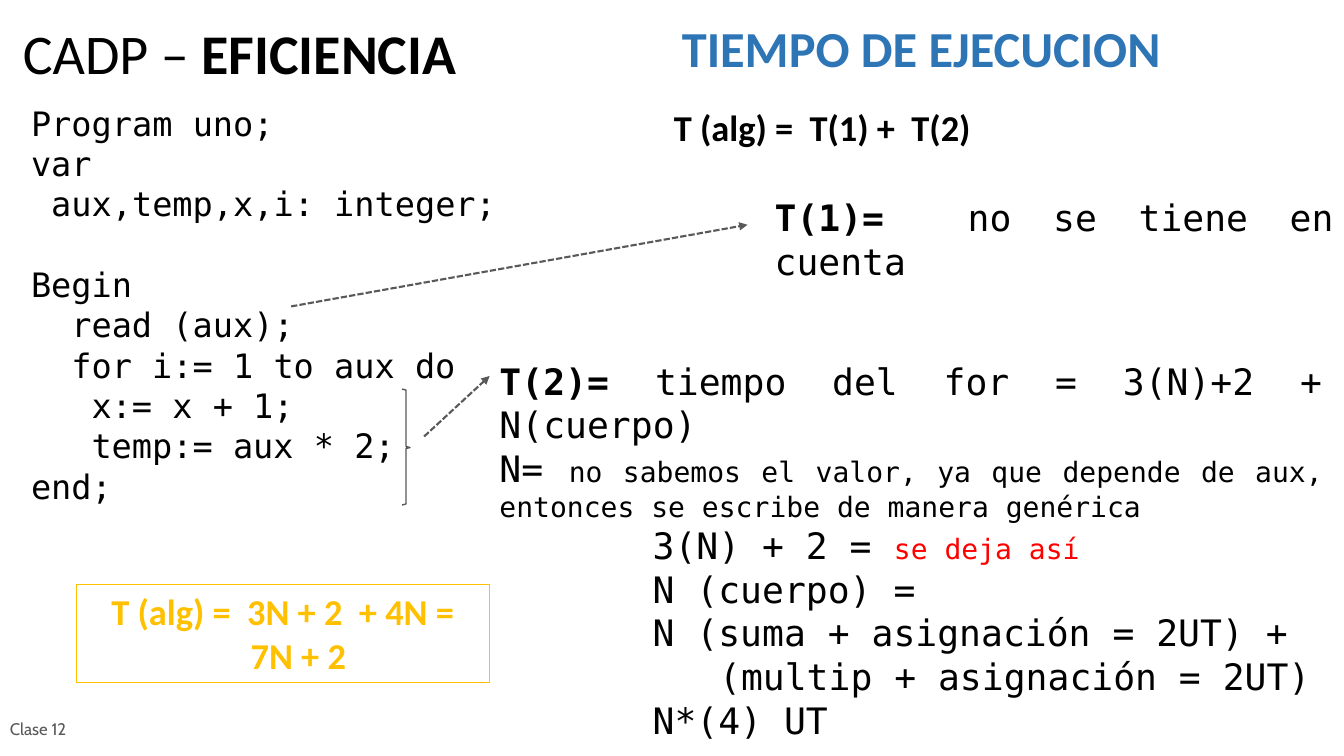
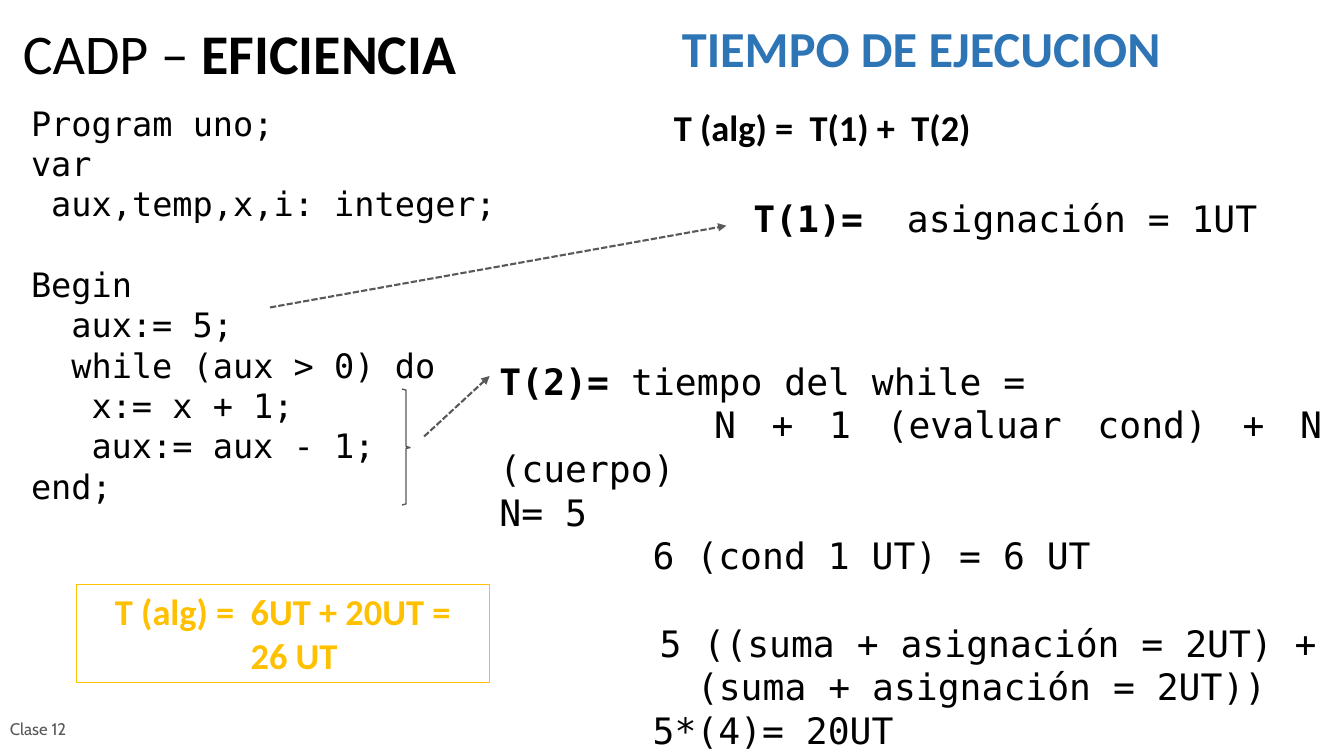
from dataclasses import dataclass

from lxml.etree import SubElement
from pptx import Presentation
from pptx.dml.color import RGBColor
from pptx.enum.dml import MSO_LINE_DASH_STYLE as Dash
from pptx.enum.shapes import MSO_CONNECTOR as Connector, MSO_SHAPE as Shape
from pptx.enum.text import MSO_ANCHOR as Anchor, PP_ALIGN as Align
from pptx.oxml.ns import qn
from pptx.util import Inches, Pt

SANS, MONO, FOOTER_FONT = "Calibri", "DejaVu Sans Mono", "Cabin"
BLACK, GRAY, BLUE, GOLD, RED = "000000", "595959", "2E75B6", "FFC000", "FF0000"
CODE_SIZE, BODY_SIZE = 24, 26
CODE_INDENT, BODY_INDENT = 0.2, 1.52
LINE_HEIGHT = 1.2


@dataclass
class Span:
    text: str
    size: int = BODY_SIZE
    bold: bool = False
    color: str = BLACK
    font: str = MONO


@dataclass
class Line:
    spans: list
    indent: float = 0
    gap: float = 0
    align: Align = Align.JUSTIFY


def rgb(color):
    return RGBColor.from_string(color)


def body(text, indent=0, gap=0):
    return Line([Span(text)], indent, gap)


def result(label, text):
    return Line([Span(label, bold=True), Span(text)])


def code(text, level=0, gap=0):
    return Line([Span(text, CODE_SIZE)], level * CODE_INDENT, gap, Align.LEFT)


def fill_text(shape, lines, anchor=Anchor.TOP):
    frame = shape.text_frame
    frame.word_wrap = True
    frame.vertical_anchor = anchor
    for index, line in enumerate(lines):
        paragraph = frame.add_paragraph() if index else frame.paragraphs[0]
        paragraph.alignment = line.align
        paragraph.space_before = Pt(line.gap)
        if line.indent:
            properties = paragraph._p.get_or_add_pPr()
            properties.set("marL", "0")
            properties.set("indent", str(Inches(line.indent)))
        for span in line.spans:
            run = paragraph.add_run()
            run.text = span.text
            run.font.name = span.font
            run.font.size = Pt(span.size)
            run.font.bold = span.bold
            run.font.color.rgb = rgb(span.color)


def add_text(slide, box, lines, anchor=Anchor.TOP):
    shape = slide.shapes.add_textbox(*map(Inches, box))
    fill_text(shape, lines, anchor)


def add_arrow(slide, start, end):
    arrow = slide.shapes.add_connector(
        Connector.STRAIGHT, *map(Inches, (*start, *end)))
    arrow.line.color.rgb = rgb(GRAY)
    arrow.line.width = Pt(1.5)
    arrow.line.dash_style = Dash.SQUARE_DOT
    SubElement(arrow.line._get_or_add_ln(), qn("a:tailEnd"), type="triangle")
    SubElement(arrow._element.spPr, qn("a:effectLst"))


def add_loop_brace(slide):
    left, middle, right = 3.99, 4.03, 4.07
    top, center, bottom = 3.86, 4.44, 5.01
    points = [(middle, top + 0.01), (middle, center - 0.01), (right, center),
              (middle, center + 0.01), (middle, bottom - 0.01), (left, bottom)]
    builder = slide.shapes.build_freeform(Inches(left), Inches(top))
    builder.add_line_segments(
        [(Inches(x), Inches(y)) for x, y in points], close=False)
    brace = builder.convert_to_shape()
    brace.shadow.inherit = False
    brace.fill.background()
    brace.line.color.rgb = rgb(GRAY)
    brace.line.width = Pt(1)


def add_total(slide, formula, total):
    box = slide.shapes.add_shape(
        Shape.RECTANGLE, *map(Inches, (0.76, 5.8, 4.1, 0.97)))
    box.shadow.inherit = False
    box.fill.background()
    box.line.color.rgb = rgb(GOLD)
    box.line.width = Pt(0.5)
    style = dict(bold=True, color=GOLD, font=SANS)
    fill_text(box, [Line([Span(formula, **style)], align=Align.CENTER),
                    Line([Span(total, **style)], 1.63, align=Align.LEFT)])


def add_frame(slide):
    add_text(slide, (0.13, 0.14, 6.4, 0.76), [Line(
        [Span("CADP – ", 40, font=SANS),
         Span("EFICIENCIA", 40, True, font=SANS)], align=Align.LEFT)],
        Anchor.MIDDLE)
    add_text(slide, (0, 7.02, 1.07, 0.43), [Line(
        [Span("Clase 12", 12, False, GRAY, FOOTER_FONT)], align=Align.LEFT)],
        Anchor.MIDDLE)
    add_text(slide, (6.67, 0.12, 5.98, 0.7),
             [Line([Span("TIEMPO DE EJECUCION", 36, True, BLUE, SANS)])])
    add_text(slide, (6.59, 0.99, 5.52, 0.54),
             [Line([Span("T (alg) =  T(1) +  T(2)", bold=True, font=SANS)])])


def add_example(presentation, statements, first, first_at, second, total):
    slide = presentation.slides.add_slide(presentation.slide_layouts[6])
    add_frame(slide)
    program = [code("Program uno;"), code("var"),
               code("aux,temp,x,i: integer;", 1),
               code("Begin", gap=CODE_SIZE * LINE_HEIGHT)]
    program += [code(text, level)
                for text, level in zip(statements, (2, 2, 3, 3))]
    add_text(slide, (0.21, 0.97, 5.52, 4.5), program + [code("end;")])
    add_total(slide, *total)
    left, top = first_at
    add_arrow(slide, (left - 4.7, top + 1.15), (left - 0.17, top + 0.34))
    add_text(slide, (left, top, 5.75, 0.97), [result("T(1)= ", first)])
    add_arrow(slide, (4.21, 4.33), (4.86, 3.73))
    add_text(slide, (4.86, 3.51, 8.37, 3.9), second)
    add_loop_brace(slide)


def main():
    presentation = Presentation()
    presentation.slide_width = Inches(13.34)
    presentation.slide_height = Inches(7.5)
    add_example(
        presentation,
        ["read (aux);", "for i:= 1 to aux do", "x:= x + 1;",
         "temp:= aux * 2;"],
        " no se tiene en cuenta", (7.59, 1.89),
        [result("T(2)= ", "tiempo del for = 3(N)+2 + N(cuerpo)"),
         Line([Span("N= "),
               Span("no sabemos el valor, ya que depende de aux, "
                    "entonces se escribe de manera genérica", 20)]),
         Line([Span("3(N) + 2 = "), Span("se deja así", 20, color=RED)],
              BODY_INDENT),
         body("N (cuerpo) =", BODY_INDENT),
         body("N (suma + asignación = 2UT) +", BODY_INDENT),
         body("(multip + asignación = 2UT)", 2.18),
         body("N*(4) UT", BODY_INDENT)],
        ("T (alg) =  3N + 2  + 4N =", "7N + 2"))
    add_example(
        presentation,
        ["aux:= 5;", "while (aux > 0) do", "x:= x + 1;", "aux:= aux - 1;"],
        " asignación = 1UT", (7.38, 1.9),
        [result("T(2)= ", "tiempo del while ="),
         body("N + 1 (evaluar cond) + N (cuerpo)", 2.13),
         body("N= 5"),
         body("6 (cond 1 UT) = 6 UT", BODY_INDENT),
         body("5 ((suma + asignación = 2UT) +", 1.59,
              BODY_SIZE * LINE_HEIGHT),
         body("(suma + asignación = 2UT))", 1.96),
         body("5*(4)= 20UT", BODY_INDENT)],
        ("T (alg) =  6UT + 20UT =", "26 UT"))
    presentation.save("out.pptx")


if __name__ == "__main__":
    main()
